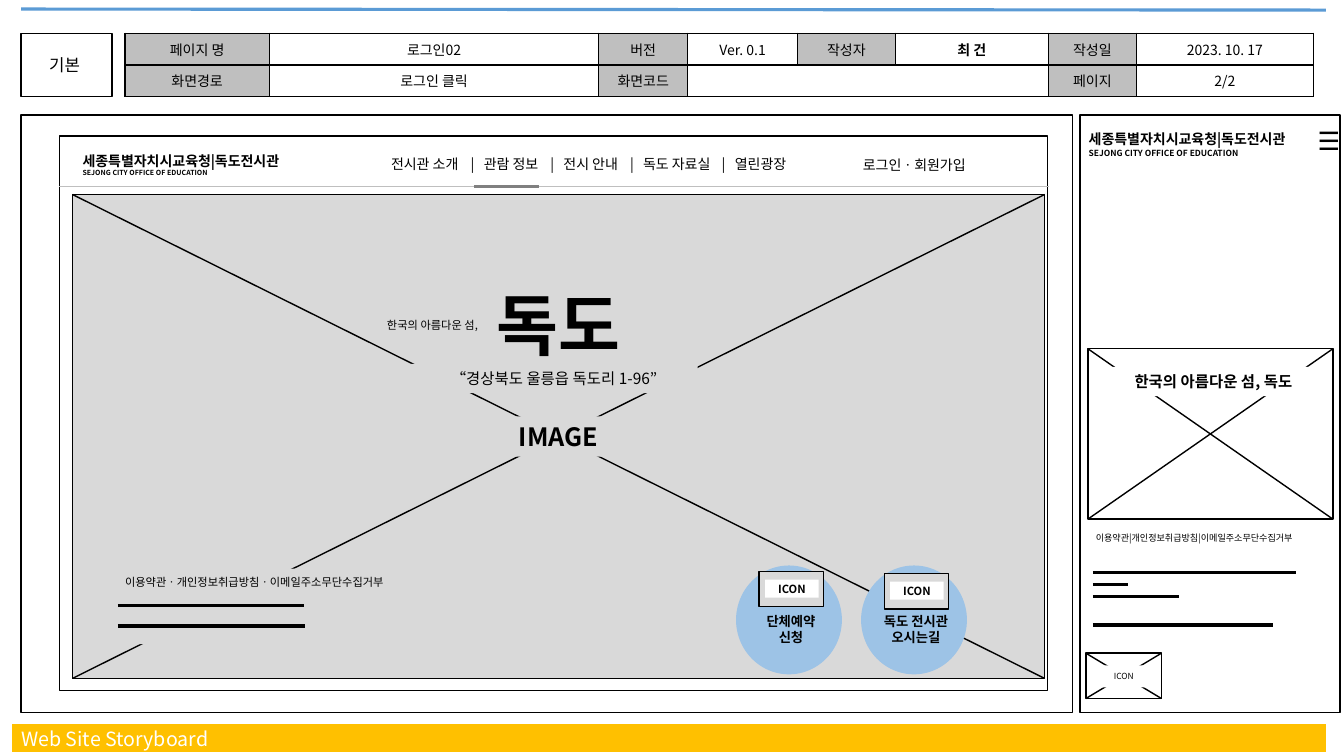
"""Build the storyboard slide for the Dokdo exhibition site."""
from dataclasses import dataclass
from lxml.etree import SubElement
from pptx import Presentation
from pptx.dml.color import RGBColor
from pptx.enum.shapes import MSO_CONNECTOR, MSO_SHAPE
from pptx.enum.text import MSO_ANCHOR, MSO_AUTO_SIZE, PP_ALIGN
from pptx.oxml import parse_xml
from pptx.oxml.ns import nsdecls, qn
from pptx.util import Inches, Pt


@dataclass(frozen=True)
class Theme:
    font: str = "Noto Sans CJK KR"
    black: str = "000000"
    white: str = "FFFFFF"
    gray: str = "D9D9D9"
    silver: str = "BFBFBF"
    dark: str = "808080"
    blue: str = "5B9BD5"
    sky: str = "9DC3E6"
    gold: str = "FFC000"
    micro: float = 5
    tiny: float = 6
    legal: float = 6.5
    small: float = 8
    badge: float = 9.5
    body: float = 10
    quote: float = 11
    label: float = 12
    title: float = 14
    head: float = 18
    hero: float = 48
    thin: float = 0.5
    edge: float = 1
    bold: float = 2.25
    band: float = 20


theme = Theme()
deck = Presentation()
deck.slide_width, deck.slide_height = Inches(13.33), Inches(7.5)
slide = deck.slides.add_slide(deck.slide_layouts[5])
shapes = slide.shapes


def box(at, text="", sizes=(theme.body,), bold=False, fill=None, edge=False,
        align=PP_ALIGN.CENTER, kind=MSO_SHAPE.RECTANGLE):
    """Add a shape when a fill is given, and a text box otherwise."""
    place = [Inches(n) for n in at]
    if fill:
        shape = shapes.add_shape(kind, *place)
        shape.shadow.inherit = False
        shape.fill.solid()
        shape.fill.fore_color.rgb = RGBColor.from_string(fill)
        if edge:
            shape.line.color.rgb = RGBColor.from_string(theme.black)
            shape.line.width = Pt(theme.edge)
        else:
            shape.line.fill.background()
    else:
        shape = shapes.add_textbox(*place)
    if text:
        frame = shape.text_frame
        frame.text = text
        frame.word_wrap = True
        frame.auto_size = MSO_AUTO_SIZE.SHAPE_TO_FIT_TEXT
        for row, para in enumerate(frame.paragraphs):
            para.alignment = align
            for run in para.runs:
                run.font.name = theme.font
                run.font.size = Pt(sizes[min(row, len(sizes) - 1)])
                run.font.bold = bold
                run.font.color.rgb = RGBColor.from_string(theme.black)
    return shape


def rule(x1, y1, x2, y2, color=theme.black, width=theme.bold):
    """Add a straight line without a shadow."""
    line = shapes.add_connector(MSO_CONNECTOR.STRAIGHT, *[Inches(n) for n in (x1, y1, x2, y2)])
    line.line.color.rgb = RGBColor.from_string(color)
    line.line.width = Pt(width)
    SubElement(line.element.spPr, qn("a:effectLst"))


box((0.21, 1.14, 10.43, 5.93), fill=theme.white, edge=True)
box((0.21, 0.33, 0.9, 0.63), fill=theme.white, edge=True)
box((0.39, 0.49, 0.54, 0.36), "기본", (theme.label,), align=PP_ALIGN.LEFT)
rule(0.21, 0.09, 13.15, 0.1, theme.blue)
rule(0.12, 7.32, 13.15, 7.32, theme.gold, theme.band)

title = shapes.title
title.left, title.top, title.width, title.height = [Inches(n) for n in (0.11, 7.16, 2.61, 0.34)]
title.text_frame.text = "Web Site Storyboard"
title.text_frame.vertical_anchor = MSO_ANCHOR.TOP
title.text_frame.auto_size = MSO_AUTO_SIZE.SHAPE_TO_FIT_TEXT
title.text_frame.paragraphs[0].alignment = PP_ALIGN.LEFT
font = title.text_frame.paragraphs[0].runs[0].font
font.name, font.size = theme.font, Pt(theme.title)
font.color.rgb = RGBColor.from_string(theme.white)
title.element.getparent().append(title.element)

rows = [
    ("페이지 명", "로그인02", "버전", "Ver. 0.1", "작성자", "최 건", "작성일", "2023. 10. 17"),
    ("화면경로", "로그인 클릭", "화면코드", "", "", "", "페이지", "2/2"),
]
edges = (1.24, 2.67, 5.94, 6.82, 7.91, 8.88, 10.4, 11.27, 13.03)
holder = shapes.add_table(2, 8, *[Inches(n) for n in (edges[0], 0.33, 11.79, 0.63)])
table = holder.table
table.first_row = table.horz_banding = False
for col, left, right in zip(table.columns, edges, edges[1:]):
    col.width = Inches(right - left)
for r, texts in enumerate(rows):
    for c, text in enumerate(texts):
        cell = table.cell(r, c)
        cell.text = text
        cell.vertical_anchor = MSO_ANCHOR.MIDDLE
        cell.margin_top = cell.margin_bottom = Inches(0.02)
        cell.margin_left = cell.margin_right = Inches(0.05)
        cell.fill.solid()
        shade = theme.silver if c % 2 == 0 and text else theme.white
        cell.fill.fore_color.rgb = RGBColor.from_string(shade)
        para = cell.text_frame.paragraphs[0]
        para.alignment = PP_ALIGN.CENTER
        para.font.size = Pt(theme.body)
        for run in para.runs:
            run.font.name, run.font.size = theme.font, Pt(theme.body)
            run.font.bold = text == "최 건"
            run.font.color.rgb = RGBColor.from_string(theme.black)
table.cell(1, 3).merge(table.cell(1, 5))
for props in holder.element.iter(qn("a:tcPr")):
    for spot, side in enumerate("LRTB"):
        props.insert(spot, parse_xml(
            f'<a:ln{side} {nsdecls("a")} w="{Pt(theme.edge)}"><a:solidFill>'
            f'<a:srgbClr val="{theme.black}"/></a:solidFill></a:ln{side}>'))

box((0.59, 1.35, 9.8, 5.5), fill=theme.white, edge=True)
box((10.71, 1.14, 2.58, 5.93), fill=theme.white, edge=True)
crosses = [
    (0.72, 1.93, 9.64, 4.8, theme.gray),
    (10.77, 6.48, 0.75, 0.45, theme.white),
    (10.79, 3.46, 2.43, 1.69, theme.white),
]
for x, y, w, h, fill in crosses:
    box((x, y, w, h), fill=fill, edge=True)
    rule(x, y, x + w, y + h, width=theme.edge)
    rule(x, y + h, x + w, y, width=theme.edge)

logo = "세종특별자치시교육청|독도전시관\nSEJONG CITY OFFICE OF EDUCATION"
box((0.72, 1.46, 2.52, 0.35), logo, (theme.body, theme.micro), True, align=PP_ALIGN.LEFT)
box((10.7, 1.25, 2.34, 0.4), logo, (theme.body, theme.tiny), True, align=PP_ALIGN.LEFT)
box((12.97, 1.19, 0.3, 0.44), "☰", (theme.head,))

menu = ("전시관 소개", "관람 정보", "전시 안내", "독도 자료실", "열린광장")
nav = box((3.78, 1.49, 4.29, 0.27), "\t|\t".join(menu), align=PP_ALIGN.LEFT)
for props in nav.element.iter(qn("a:pPr")):
    tabs = SubElement(props, qn("a:tabLst"))
    for stop in (0.79, 0.92, 1.58, 1.71, 2.37, 2.5, 3.28, 3.41):
        SubElement(tabs, qn("a:tab"), pos=str(Inches(stop)), algn="l")
box((8.46, 1.5, 1.32, 0.27), "로그인ㆍ회원가입", align=PP_ALIGN.LEFT)
rule(0.59, 1.85, 10.4, 1.85, theme.silver, theme.thin)
rule(4.7, 1.85, 5.35, 1.85, theme.dark)

box((0.78, 5.64, 2.41, 0.75), fill=theme.gray)
labels = [
    ((0.94, 5.65, 3.17, 0.24), "이용약관ㆍ개인정보취급방침ㆍ이메일주소무단수집거부", theme.small, False, theme.gray),
    ((3.78, 4.13, 3.52, 0.4), "IMAGE", theme.head, True, theme.gray),
    ((4.67, 2.76, 1.74, 0.91), "독도", theme.hero, True, theme.gray),
    ((3.69, 3.1, 1.2, 0.24), "한국의 아름다운 섬,", theme.small, False, theme.gray),
    ((4.07, 3.61, 2.85, 0.29), "“경상북도 울릉읍 독도리 1-96”", theme.quote, False, theme.gray),
    ((10.89, 6.6, 0.51, 0.22), "ICON", theme.tiny, False, theme.white),
    ((11, 3.64, 2.07, 0.29), "한국의 아름다운 섬, 독도", theme.quote, True, theme.white),
]
for at, text, size, bold, fill in labels:
    box(at, text, (size,), bold, fill)
box((10.77, 5.23, 2.46, 0.21), "이용약관|개인정보취급방침|이메일주소무단수집거부",
    (theme.legal,), fill=theme.white, align=PP_ALIGN.LEFT)

for x, icon, text in ((7.3, 5.67, "단체예약\n신청"), (8.54, 5.69, "독도 전시관\n오시는길")):
    box((x, 5.61, 1.05, 1.08), fill=theme.sky, kind=MSO_SHAPE.OVAL)
    box((x + 0.07, 6.03, 0.95, 0.42), text, (theme.badge,), True)
    box((x + 0.23, icon, 0.64, 0.35), fill=theme.gray, edge=True)
    box((x + 0.29, icon + 0.08, 0.53, 0.18), "ICON", (theme.small,), True, theme.white)

bars = [(1.17, 3.02, 6.01), (1.17, 3.03, 6.21), (10.84, 12.85, 5.68),
        (10.84, 11.19, 5.8), (10.84, 11.69, 5.92), (10.84, 12.63, 6.2)]
for left, right, y in bars:
    rule(left, y, right, y)

for latin in list(slide.element.iter(qn("a:latin"))):
    latin.addnext(parse_xml(f'<a:ea {nsdecls("a")} typeface="{theme.font}"/>'))
deck.save("out.pptx")
